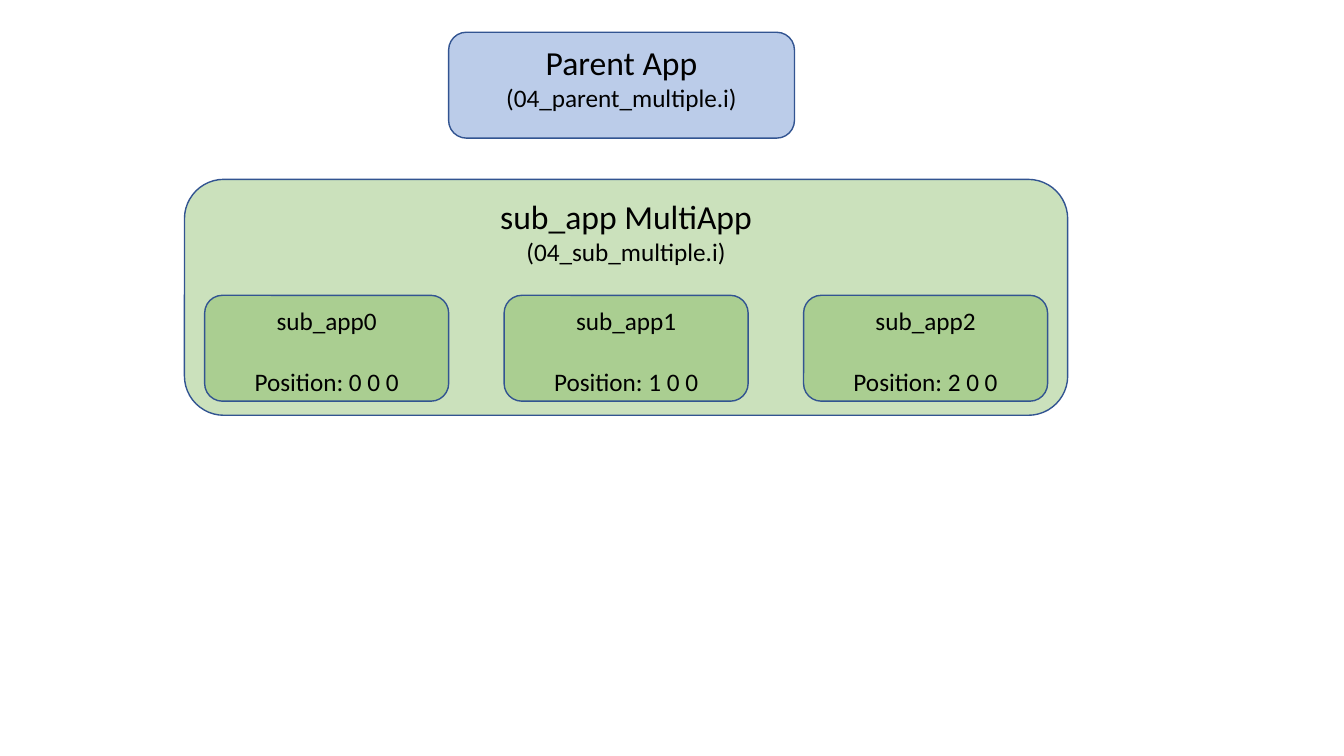
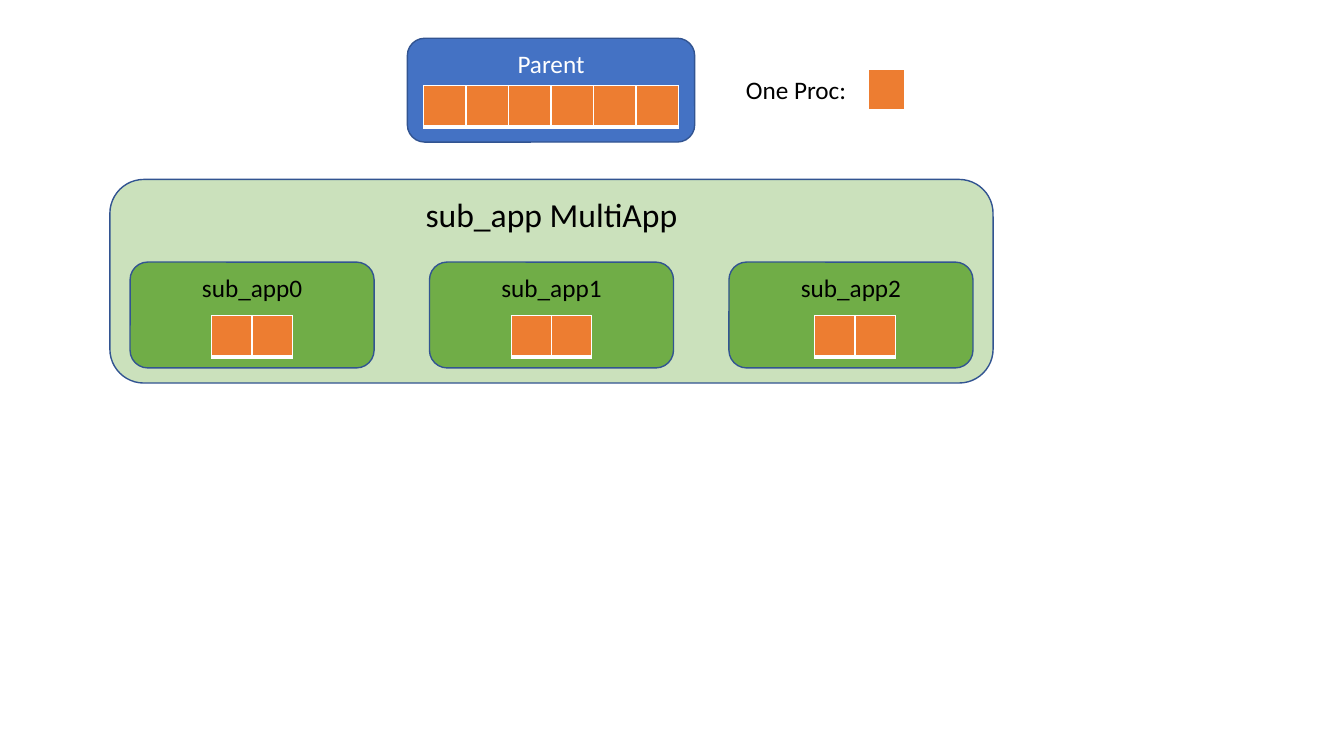
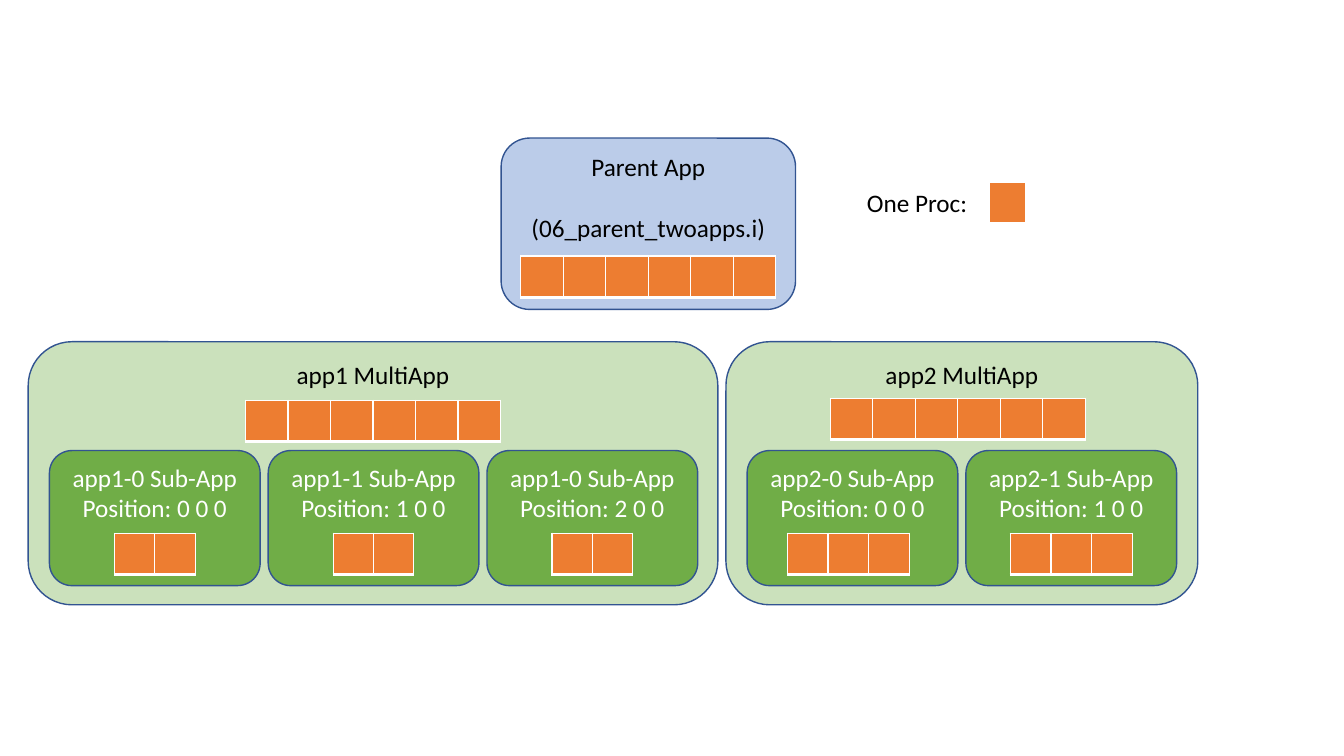
from lxml.etree import SubElement
from pptx import Presentation
from pptx.dml.color import RGBColor
from pptx.enum.shapes import MSO_SHAPE as Shape
from pptx.enum.text import MSO_ANCHOR as Anchor, MSO_AUTO_SIZE as AutoSize, PP_ALIGN as Align
from pptx.oxml.ns import qn
from pptx.util import Inches, Pt

COLORS = {
    "parent": "4472C4",
    "app": "70AD47",
    "outline": "325491",
    "proc": "ED7D31",
    "white": "FFFFFF",
    "black": "000000",
}
FONT = "Calibri"
TITLE, BODY = 24, 18
BLANK_LINE = 22
TINT = 36
PROC_HEIGHT = 0.41
PROC_WIDTHS = {1: 0.36, 2: 0.8, 3: 1.21, 6: 2.53}
BORDERS = {"lnL": 1, "lnR": 1, "lnT": 1, "lnB": 3}

SLIDES = [
    {
        "parent": {
            "at": (4.45, 0.32, 3.43, 1.05), "tint": TINT, "ink": "black",
            "lines": [("Parent App", TITLE, 0), ("(04_parent_multiple.i)", BODY, 0)],
        },
        "groups": [{
            "at": (1.83, 1.78, 8.76, 2.34),
            "lines": [("sub_app MultiApp", TITLE, 0), ("(04_sub_multiple.i)", BODY, 0)],
            "cards": {
                "first": (2.03, 2.93), "step": 2.97, "size": (2.42, 1.05),
                "tint": TINT, "ink": "black",
                "lines": [
                    [("sub_app0", BODY, 0), ("Position: 0 0 0", BODY, BLANK_LINE)],
                    [("sub_app1", BODY, 0), ("Position: 1 0 0", BODY, BLANK_LINE)],
                    [("sub_app2", BODY, 0), ("Position: 2 0 0", BODY, BLANK_LINE)],
                ],
            },
        }],
    },
    {
        "parent": {
            "at": (4.04, 0.38, 2.85, 1.03), "ink": "white",
            "lines": [("Parent", BODY, 0)], "procs": 6, "drop": 0.47,
        },
        "legend": (7.3, 0.69),
        "groups": [{
            "at": (1.09, 1.78, 8.76, 2.02),
            "lines": [("sub_app MultiApp", TITLE, 0)],
            "cards": {
                "first": (1.29, 2.6), "step": 2.97, "size": (2.42, 1.05),
                "ink": "black", "procs": 2, "drop": 0.53, "shifts": (0, 0, 0.04),
                "lines": [
                    [("sub_app0", BODY, 0)],
                    [("sub_app1", BODY, 0)],
                    [("sub_app2", BODY, 0)],
                ],
            },
        }],
    },
    {
        "parent": {
            "at": (4.97, 1.37, 2.92, 1.7), "tint": TINT, "ink": "black",
            "lines": [("Parent App", BODY, 0), ("(06_parent_twoapps.i)", BODY, BLANK_LINE)],
            "procs": 6, "drop": 1.17,
        },
        "legend": (8.5, 1.81),
        "groups": [
            {
                "at": (0.28, 3.39, 6.84, 2.61),
                "lines": [("app1 MultiApp", BODY, 0)], "procs": 6, "drop": 0.58,
                "cards": {
                    "first": (0.49, 4.47), "step": 2.17, "size": (2.09, 1.34),
                    "ink": "white", "procs": 2, "drop": 0.82,
                    "lines": [
                        [("app1-0 Sub-App", BODY, 0), ("Position: 0 0 0", BODY, 0)],
                        [("app1-1 Sub-App", BODY, 0), ("Position: 1 0 0", BODY, 0)],
                        [("app1-0 Sub-App", BODY, 0), ("Position: 2 0 0", BODY, 0)],
                    ],
                },
            },
            {
                "at": (7.2, 3.39, 4.68, 2.61),
                "lines": [("app2 MultiApp", BODY, 0)],
                "procs": 6, "drop": 0.56, "shift": -0.04,
                "cards": {
                    "first": (7.41, 4.47), "step": 2.17, "size": (2.09, 1.34),
                    "ink": "white", "procs": 3, "drop": 0.82, "shifts": (-0.04, 0),
                    "lines": [
                        [("app2-0 Sub-App", BODY, 0), ("Position: 0 0 0", BODY, 0)],
                        [("app2-1 Sub-App", BODY, 0), ("Position: 1 0 0", BODY, 0)],
                    ],
                },
            },
        ],
    },
]


def rgb(name):
    return RGBColor.from_string(COLORS[name])


def write_lines(frame, lines, ink, align):
    for index, (text, size, before) in enumerate(lines):
        paragraph = frame.paragraphs[0] if index == 0 else frame.add_paragraph()
        paragraph.alignment = align
        paragraph.space_before = Pt(before)
        run = paragraph.add_run()
        run.text = text
        run.font.name = FONT
        run.font.size = Pt(size)
        run.font.color.rgb = rgb(ink)


def add_procs(slide, count, left, top):
    table = slide.shapes.add_table(
        1, count, Inches(left), Inches(top),
        Inches(PROC_WIDTHS[count]), Inches(PROC_HEIGHT)).table
    table.first_row = table.horz_banding = False
    for cell in table.rows[0].cells:
        properties = cell._tc.get_or_add_tcPr()
        for side, width in BORDERS.items():
            border = SubElement(properties, qn(f"a:{side}"), w=str(Pt(width)))
            fill = SubElement(border, qn("a:solidFill"))
            SubElement(fill, qn("a:srgbClr"), val=COLORS["white"])
        cell.fill.solid()
        cell.fill.fore_color.rgb = rgb("proc")


def add_box(slide, at, lines, color, ink, tint=None, procs=0, drop=0, shift=0):
    box = slide.shapes.add_shape(Shape.ROUNDED_RECTANGLE, *map(Inches, at))
    box.shadow.inherit = False
    box.fill.solid()
    box.fill.fore_color.rgb = rgb(color)
    if tint:
        tone = box.element.spPr.xpath("a:solidFill/a:srgbClr")[0]
        SubElement(tone, qn("a:alpha"), val=str(tint * 1000))
    box.line.color.rgb = rgb("outline")
    box.line.width = Pt(1)
    box.text_frame.word_wrap = True
    box.text_frame.vertical_anchor = Anchor.TOP
    write_lines(box.text_frame, lines, ink, Align.CENTER)
    if procs:
        left, top, width, _ = at
        add_procs(slide, procs, left + (width - PROC_WIDTHS[procs]) / 2 + shift, top + drop)


def add_group(slide, cards, **group):
    add_box(slide, color="app", ink="black", tint=TINT, **group)
    left, top = cards["first"]
    shared = {key: cards[key] for key in ("ink", "tint", "procs", "drop") if key in cards}
    shifts = cards.get("shifts", [0] * len(cards["lines"]))
    for index, (lines, shift) in enumerate(zip(cards["lines"], shifts)):
        at = (left + index * cards["step"], top, *cards["size"])
        add_box(slide, at, lines, "app", shift=shift, **shared)


def add_legend(slide, left, top):
    label = slide.shapes.add_textbox(Inches(left), Inches(top), Inches(1.21), Inches(0.4))
    label.text_frame.word_wrap = False
    label.text_frame.auto_size = AutoSize.SHAPE_TO_FIT_TEXT
    write_lines(label.text_frame, [("One Proc:", BODY, 0)], "black", Align.LEFT)
    add_procs(slide, 1, left + 1.31, top)


def main():
    deck = Presentation()
    deck.slide_width, deck.slide_height = Inches(13.33), Inches(7.5)
    for content in SLIDES:
        slide = deck.slides.add_slide(deck.slide_layouts[6])
        add_box(slide, color="parent", **content["parent"])
        if "legend" in content:
            add_legend(slide, *content["legend"])
        for group in content["groups"]:
            add_group(slide, **group)
    deck.save("out.pptx")


if __name__ == "__main__":
    main()
